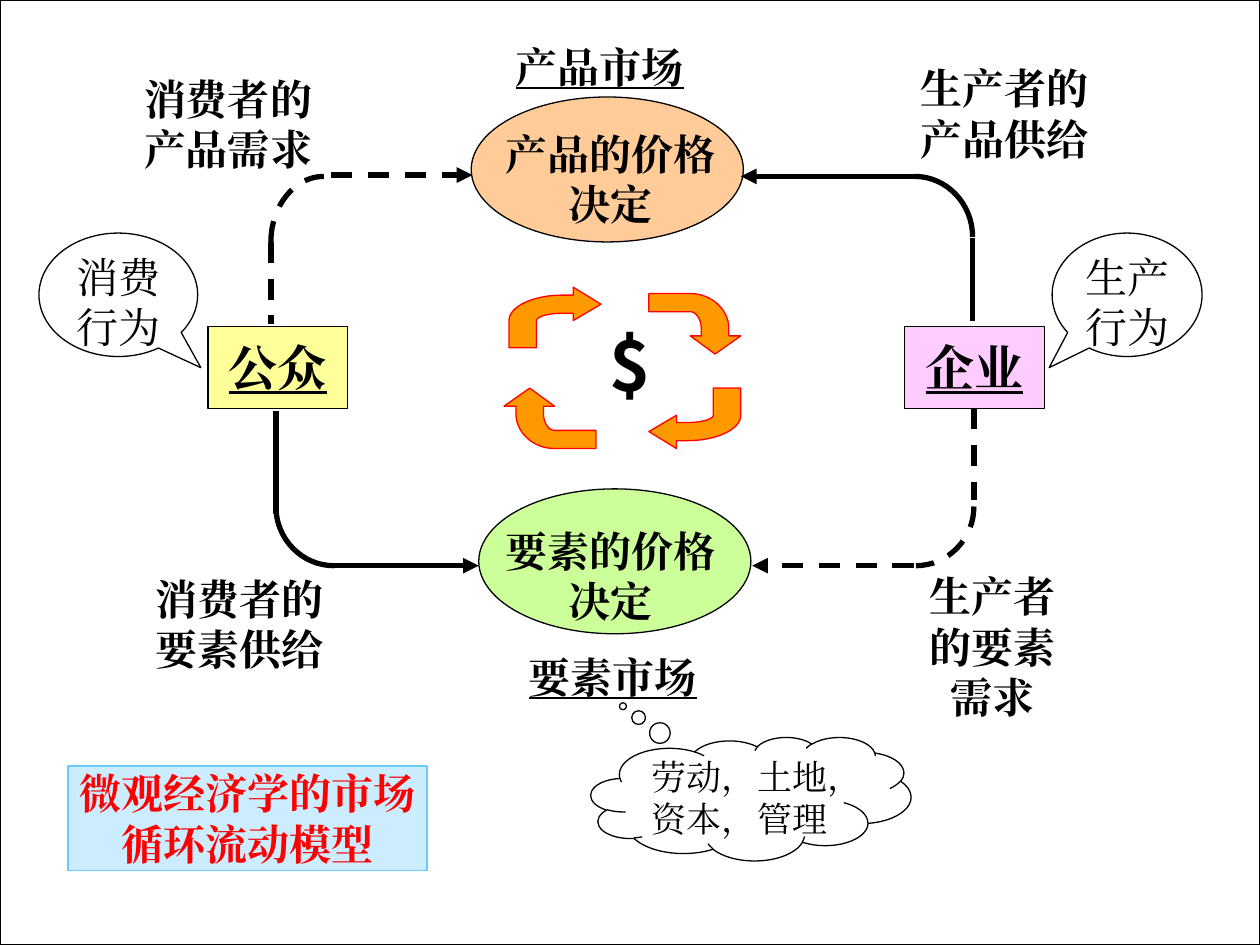
"""Build a slide showing the circular flow model of microeconomic markets."""
import lxml.etree
import pptx
import pptx.dml.color
import pptx.enum.dml
import pptx.enum.shapes
import pptx.enum.text
import pptx.oxml.ns
import pptx.util

Inches = pptx.util.Inches
RGBColor = pptx.dml.color.RGBColor
Kind = pptx.enum.shapes.MSO_SHAPE
Anchor = pptx.enum.text.MSO_ANCHOR
qn = pptx.oxml.ns.qn

BLACK = RGBColor(0x00, 0x00, 0x00)
WHITE = RGBColor(0xFF, 0xFF, 0xFF)
RED = RGBColor(0xFF, 0x00, 0x00)
YELLOW = RGBColor(0xFF, 0xFF, 0x99)
PINK = RGBColor(0xFF, 0xCC, 0xFF)
PEACH = RGBColor(0xFF, 0xCC, 0x99)
GREEN = RGBColor(0xCC, 0xFF, 0x99)
ORANGE = RGBColor(0xFF, 0x99, 0x00)
PALE_BLUE = RGBColor(0xCC, 0xEC, 0xFF)
SKY_BLUE = RGBColor(0x66, 0xCC, 0xFF)


def write(shape, text, size=24, bold=True, underline=False, color=BLACK,
          font="Times New Roman", anchor=Anchor.TOP, margins=(0, 0), before=0):
    """Write one centred paragraph into a shape."""
    frame = shape.text_frame
    frame.word_wrap = True
    frame.vertical_anchor = anchor
    frame.margin_left = frame.margin_right = Inches(margins[0])
    frame.margin_top = frame.margin_bottom = Inches(margins[1])
    para = frame.paragraphs[0]
    para.alignment = pptx.enum.text.PP_ALIGN.CENTER
    para.space_before = pptx.util.Pt(before)
    span = para.add_run()
    span.text = text
    span.font.name = font
    span.font.size = pptx.util.Pt(size)
    span.font.bold = bold
    span.font.underline = underline
    span.font.color.rgb = color
    properties = span.font._element
    east_asian = lxml.etree.SubElement(properties, qn("a:ea"))
    east_asian.set("typeface", font)


def add_label(page, text, box, **text_format):
    """Add a plain text box."""
    label = page.shapes.add_textbox(*map(Inches, box))
    write(label, text, **text_format)
    return label


def style_line(line, color=BLACK, width=0.75, dashed=False):
    """Set the colour, width and dash of a line."""
    line.color.rgb = color
    line.width = pptx.util.Pt(width)
    if dashed:
        line.dash_style = pptx.enum.dml.MSO_LINE.DASH


def add_shape(page, kind, box, fill, line=BLACK, text="", adjust=(), **text_format):
    """Add a filled preset shape with optional text."""
    shape = page.shapes.add_shape(kind, *map(Inches, box))
    shape.shadow.inherit = False
    shape.fill.solid()
    shape.fill.fore_color.rgb = fill
    style_line(shape.line, line)
    for index, value in enumerate(adjust):
        shape.adjustments[index] = value
    if text:
        write(shape, text, **text_format)
    return shape


def add_flow(page, start, end, dashed=False, arrow=False):
    """Add a thick straight line, with an arrowhead at its end if wanted."""
    flow = page.shapes.add_connector(pptx.enum.shapes.MSO_CONNECTOR.STRAIGHT,
                                     *map(Inches, start + end))
    style_line(flow.line, width=3, dashed=dashed)
    if arrow:
        tail = lxml.etree.SubElement(flow.line._get_or_add_ln(), qn("a:tailEnd"))
        tail.set("type", "triangle")
    lxml.etree.SubElement(flow._element.spPr, qn("a:effectLst"))


def curve(start, first, second, end, steps=16):
    """Return points along a cubic curve, both ends included."""
    points = []
    for step in range(steps + 1):
        t = step / steps
        weights = ((1 - t) ** 3, 3 * t * (1 - t) ** 2, 3 * t * t * (1 - t), t ** 3)
        corners = (start, first, second, end)
        points.append(tuple(sum(w * c[axis] for w, c in zip(weights, corners))
                            for axis in (0, 1)))
    return points


def add_outline(page, points, box, turns, close):
    """Add a freeform of unit points, turned clockwise by quarters into a box."""
    left, top, width, height = box
    for _ in range(turns):
        points = [(1 - v, u) for u, v in points]
    placed = [(Inches(left + u * width), Inches(top + v * height)) for u, v in points]
    builder = page.shapes.build_freeform(*placed[0], scale=1.0)
    builder.add_line_segments(placed[1:], close=close)
    outline = builder.convert_to_shape()
    outline.shadow.inherit = False
    return outline


def add_corner(page, box, turns, dashed=False):
    """Add a thick rounded corner between two flow lines."""
    points = curve((0, 0), (0.55, 0), (1, 0.45), (1, 1))
    corner = add_outline(page, points, box, turns, close=False)
    corner.fill.background()
    style_line(corner.line, width=3, dashed=dashed)


def add_bent_arrow(page, box, turns):
    """Add an orange bent arrow."""
    points = [(1, 0.28), (0.7, 0), (0.7, 0.13)]
    points += curve((0.58, 0.13), (0.26, 0.13), (0, 0.32), (0, 0.55))
    points += [(0, 1), (0.3, 1)]
    points += curve((0.3, 0.55), (0.3, 0.49), (0.42, 0.43), (0.58, 0.43))
    points += [(0.7, 0.43), (0.7, 0.55)]
    arrow = add_outline(page, points, box, turns, close=True)
    arrow.fill.solid()
    arrow.fill.fore_color.rgb = ORANGE
    style_line(arrow.line, RED)


def add_markets(page):
    """Add the households, the firms and the two markets."""
    for text, left, fill in (("公众", 1.65, YELLOW), ("企业", 7.18, PINK)):
        add_shape(page, Kind.RECTANGLE, (left, 2.59, 1.11, 0.65), fill, text=text,
                  size=28, underline=True, anchor=Anchor.MIDDLE)
    for text, left, top, text_top, fill in (
            ("产品的价格决定", 3.74, 0.77, 1.02, PEACH),
            ("要素的价格决定", 3.8, 3.88, 4.17, GREEN)):
        add_shape(page, Kind.OVAL, (left, top, 2.16, 1.15), fill)
        add_label(page, text, (4, text_top, 1.69, 0.73))
    add_label(page, "产品市场", (3.98, 0.33, 1.56, 0.42), underline=True)
    add_label(page, "要素市场", (4.15, 5.17, 1.43, 0.48), underline=True)


def add_flows(page):
    """Add supply as solid and demand as dashed flows, with their labels."""
    add_corner(page, (7.26, 1.4, 0.46, 0.48), 0)
    add_corner(page, (2.15, 1.4, 0.42, 0.52), 3, dashed=True)
    add_corner(page, (2.19, 4.02, 0.46, 0.47), 2)
    add_corner(page, (7.27, 4.02, 0.46, 0.47), 1, dashed=True)
    add_flow(page, (2.15, 1.92), (2.15, 2.57), dashed=True)
    add_flow(page, (7.72, 1.89), (7.72, 2.55))
    add_flow(page, (7.73, 3.24), (7.73, 3.97), dashed=True)
    add_flow(page, (2.19, 3.26), (2.19, 4.08))
    add_flow(page, (2.64, 4.49), (3.8, 4.49), arrow=True)
    add_flow(page, (7.25, 4.49), (5.97, 4.49), dashed=True, arrow=True)
    add_flow(page, (7.26, 1.4), (5.88, 1.4), arrow=True)
    add_flow(page, (2.63, 1.39), (3.75, 1.39), dashed=True, arrow=True)
    for text, left, top, width in (
            ("消费者的产品需求", 1.08, 0.58, 1.46), ("生产者的产品供给", 7.25, 0.5, 1.44),
            ("生产者的要素需求", 7.22, 4.53, 1.32), ("消费者的要素供给", 1.23, 4.55, 1.34)):
        add_label(page, text, (left, top, width, 0.7))


def add_callouts(page):
    """Add the two speech balloons and the cloud."""
    balloon = add_shape(page, Kind.OVAL_CALLOUT, (0.31, 1.85, 1.26, 0.98), WHITE,
                        text="消费行为", adjust=(-0.52, 0.59), bold=False)
    balloon._element.spPr.xfrm.set("flipH", "1")
    add_shape(page, Kind.OVAL_CALLOUT, (8.35, 1.85, 1.19, 0.98), WHITE,
              text="生产行为", adjust=(-0.52, 0.59), bold=False)
    add_shape(page, Kind.CLOUD_CALLOUT, (4.69, 5.85, 2.54, 0.98), WHITE,
              text="劳动，土地，资本，管理", adjust=(-0.4, -0.75), size=20, bold=False)


def add_money_cycle(page):
    """Add the four bent arrows around the dollar sign."""
    for turns, (left, top) in enumerate(((4.04, 2.28), (5.15, 2.33), (5.15, 3.08), (4, 3.08))):
        add_bent_arrow(page, (left, top, 0.73, 0.48), turns)
    add_label(page, "$", (4.5, 2.5, 1, 0.77), size=40, font="Noto Sans CJK SC",
              margins=(0.1, 0.05), before=25)


def main():
    """Build the deck and save it."""
    deck = pptx.Presentation()
    deck.slide_width, deck.slide_height = Inches(10), Inches(7.5)
    page = deck.slides.add_slide(deck.slide_layouts[6])
    add_shape(page, Kind.RECTANGLE, (0, 0, 10, 7.5), WHITE)
    add_markets(page)
    add_flows(page)
    add_callouts(page)
    add_shape(page, Kind.RECTANGLE, (0.54, 6.08, 2.85, 0.83), PALE_BLUE, SKY_BLUE,
              text="微观经济学的市场循环流动模型", color=RED, anchor=Anchor.MIDDLE)
    add_money_cycle(page)
    deck.save("out.pptx")


if __name__ == "__main__":
    main()
